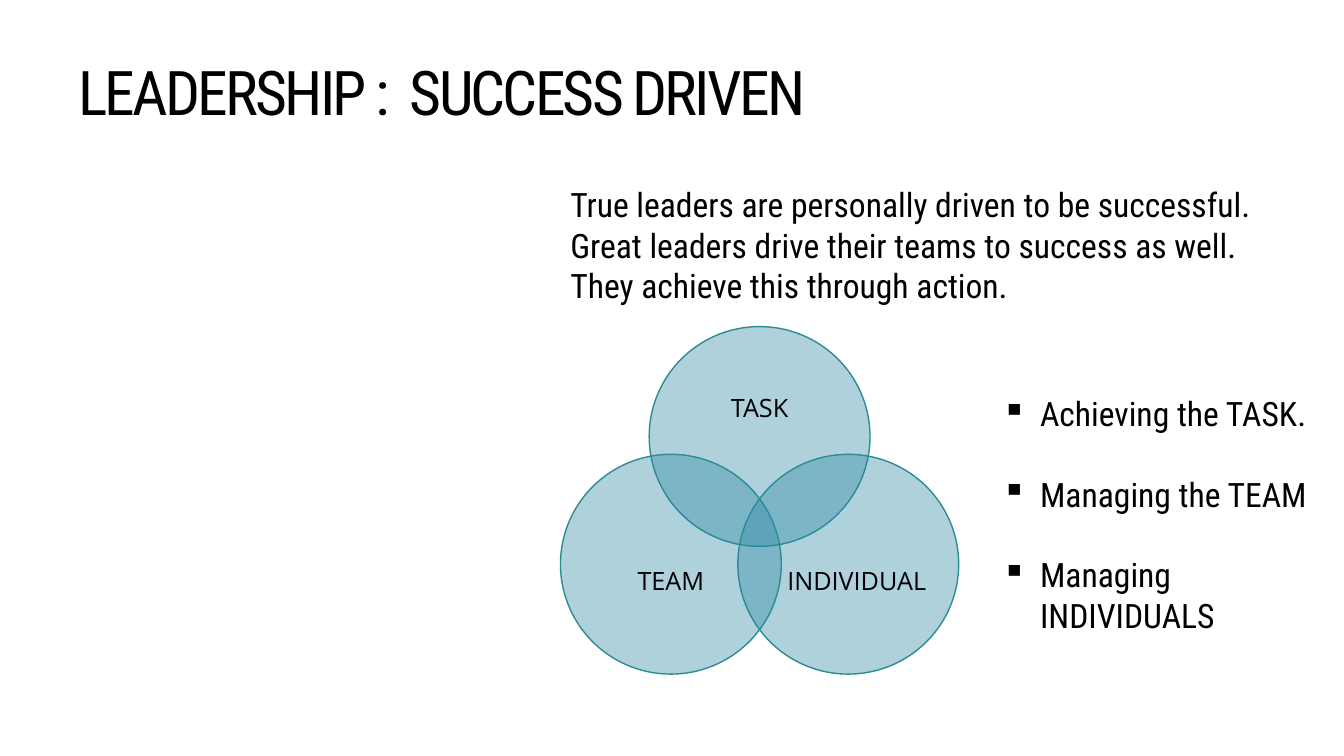
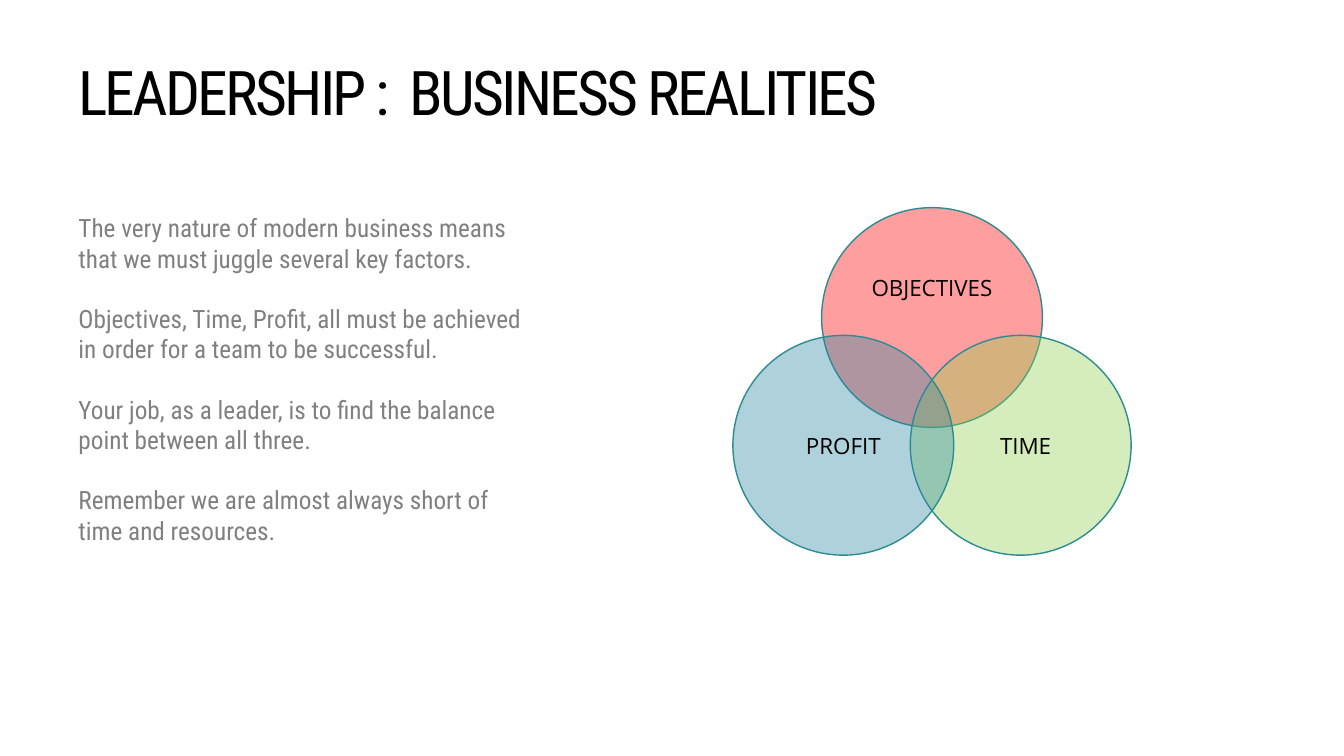
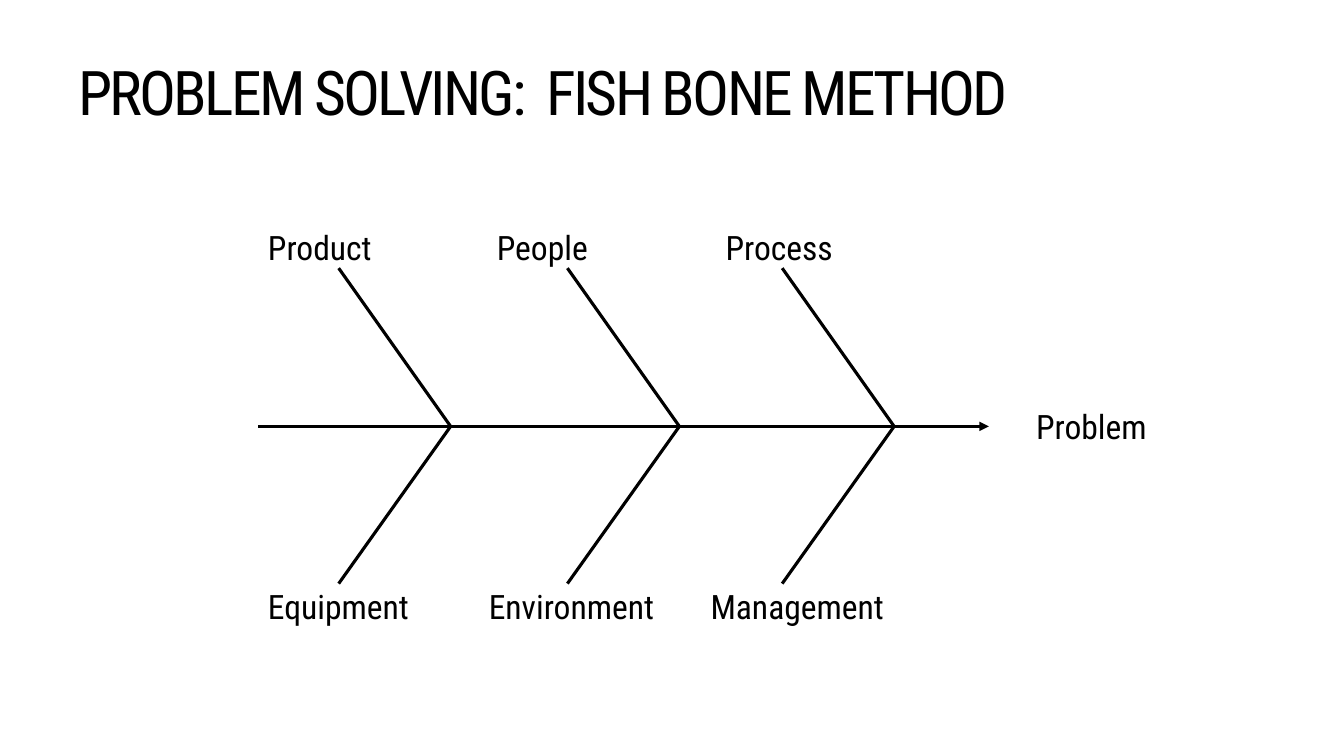
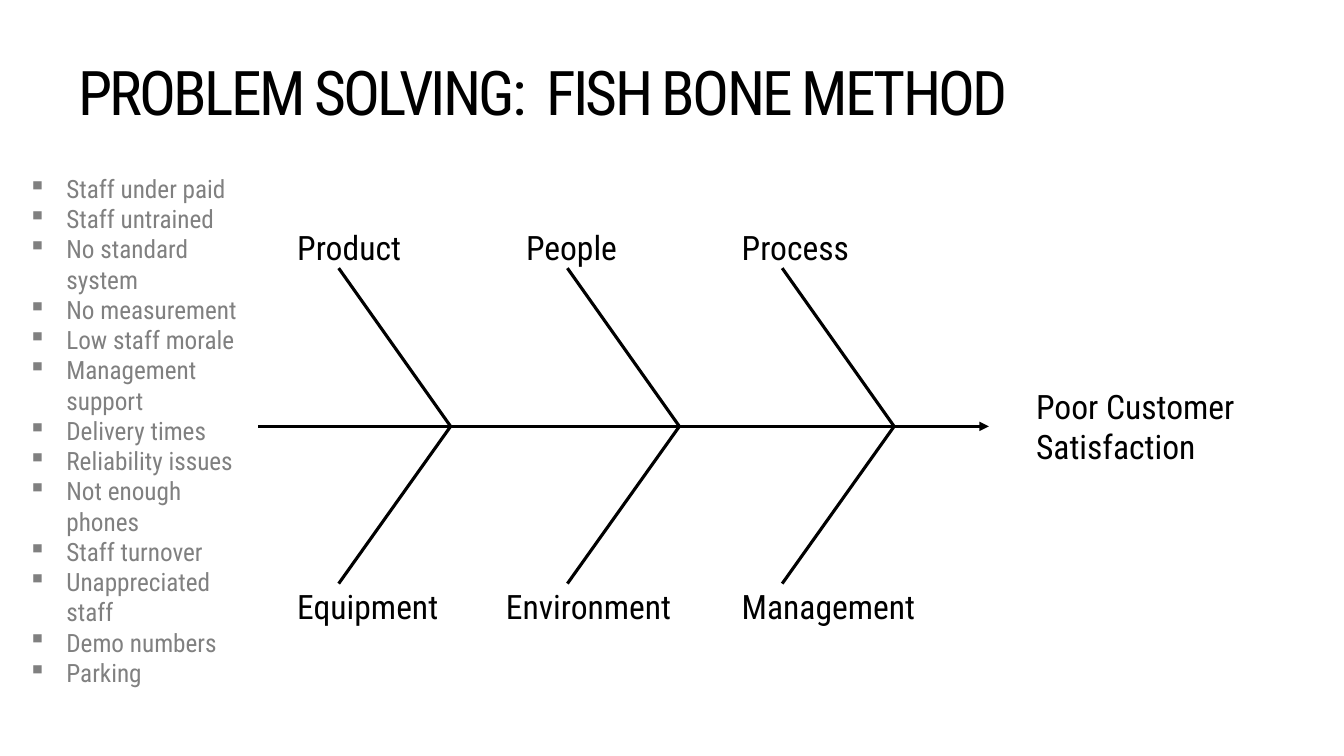
from dataclasses import dataclass

from lxml import etree
from pptx import Presentation
from pptx.dml.color import RGBColor
from pptx.enum.shapes import MSO_CONNECTOR, MSO_SHAPE
from pptx.enum.text import MSO_ANCHOR, PP_ALIGN
from pptx.oxml.ns import qn
from pptx.util import Emu, Inches, Pt

# Shared style
WIDTH, HEIGHT = Inches(13.33), Inches(7.5)
HEADING_FONT, LABEL_FONT = "Roboto Condensed", "Open Sans"
BLACK, GREY = "000000", "808080"
TEAL, TEAL_EDGE, RED, GREEN = "2C88A4", "2C8C91", "FF0000", "92D050"
TOP, MIDDLE = MSO_ANCHOR.TOP, MSO_ANCHOR.MIDDLE
LEFT, CENTER, RIGHT = PP_ALIGN.LEFT, PP_ALIGN.CENTER, PP_ALIGN.RIGHT
CIRCLE = MSO_SHAPE.FLOWCHART_CONNECTOR
STRAIGHT = MSO_CONNECTOR.STRAIGHT
BULLET_INDENT = Inches(0.38)
LINE_HEIGHT = 1.2  # height of a text line as a multiple of its size


# Lengths are percentages of the slide's width and height
def across(share: float) -> Emu:
    return Emu(round(WIDTH * share / 100))


def down(share: float) -> Emu:
    return Emu(round(HEIGHT * share / 100))


@dataclass(frozen=True)
class Box:
    left: float
    top: float
    width: float
    height: float

    def place(self) -> tuple[Emu, Emu, Emu, Emu]:
        return across(self.left), down(self.top), across(self.width), down(self.height)


@dataclass(frozen=True)
class Factor:
    """One circle of a Venn diagram; drop moves its label down, in inches."""
    label: str
    color: str = TEAL
    drop: float = 0
    align: PP_ALIGN = CENTER
    right_inset: float = 0.1


@dataclass(frozen=True)
class Bone:
    """A pair of ribs meeting the spine, with the label above and below."""
    upper: str
    upper_left: float
    lower: str
    lower_left: float


TITLE_BOX = Box(5.1, 2.93, 86.25, 19.33)

# Venn geometry
CIRCLE_WIDTH, CIRCLE_HEIGHT = 16.43, 29.07
CIRCLE_STEP_X, CIRCLE_STEP_Y = 6.6, 16.9
CIRCLE_SLOTS = ((1, 0), (2, 1), (0, 1))

# Fishbone geometry
SPINE_START, SPINE_END, SPINE_Y = 19.2, 73.58, 56.4
RIB_FEET = (33.53, 50.55, 66.53)
RIB_RUN, RIB_TOP, RIB_BOTTOM = 8.33, 35.47, 77.2
LABEL_HEIGHT, UPPER_LABEL_TOP = 6, 29.73
UPPER_LABEL_WIDTH, LOWER_LABEL_WIDTH = 10, 15.5
EFFECT_BOX = Box(76.35, 53.33, 21.98, LABEL_HEIGHT)


def rgb(color: str) -> RGBColor:
    return RGBColor.from_string(color)


def write_text(frame, *paragraphs: str, size: float = 24, color: str = BLACK,
               font: str = HEADING_FONT, align: PP_ALIGN = LEFT,
               anchor: MSO_ANCHOR = TOP, gap_lines: float = 0,
               bullet: bool = False, line_spacing: float = 1.0,
               tracking: float = 0) -> None:
    frame.word_wrap = True
    frame.vertical_anchor = anchor
    for index, words in enumerate(paragraphs):
        paragraph = frame.add_paragraph() if index else frame.paragraphs[0]
        if bullet:
            properties = paragraph._p.get_or_add_pPr()
            properties.set("marL", str(BULLET_INDENT))
            properties.set("indent", str(-BULLET_INDENT))
            etree.SubElement(properties, qn("a:buChar")).set("char", "▪")
        paragraph.alignment = align
        paragraph.line_spacing = line_spacing
        if index and gap_lines:
            paragraph.space_before = Pt(gap_lines * LINE_HEIGHT * size)
        run = paragraph.add_run()
        run.text = words
        run.font.name, run.font.size = font, Pt(size)
        run.font.color.rgb = rgb(color)
        if tracking:
            run._r.get_or_add_rPr().set("spc", str(round(tracking * 100)))


def add_text(slide, box: Box, *paragraphs: str, **style) -> None:
    write_text(slide.shapes.add_textbox(*box.place()).text_frame, *paragraphs, **style)


def add_slide(deck, title: str):
    slide = deck.slides.add_slide(deck.slide_layouts[6])
    add_text(slide, TITLE_BOX, title, size=44, anchor=MIDDLE, line_spacing=0.9, tracking=-2)
    return slide


def add_line(slide, start: tuple[float, float], end: tuple[float, float],
             arrow: bool = False) -> None:
    line = slide.shapes.add_connector(STRAIGHT, across(start[0]), down(start[1]),
                                      across(end[0]), down(end[1]))
    line.line.color.rgb = rgb(BLACK)
    line.line.width = Pt(2.25)
    if arrow:
        etree.SubElement(line.line._get_or_add_ln(), qn("a:tailEnd")).set("type", "triangle")
    etree.SubElement(line._element.spPr, qn("a:effectLst"))


def add_venn(slide, left: float, top: float, factors: tuple[Factor, ...], size: float) -> None:
    for factor, (column, row) in zip(factors, CIRCLE_SLOTS):
        box = Box(left + column * CIRCLE_STEP_X, top + row * CIRCLE_STEP_Y,
                  CIRCLE_WIDTH, CIRCLE_HEIGHT)
        circle = slide.shapes.add_shape(CIRCLE, *box.place())
        circle.shadow.inherit = False
        circle.fill.solid()
        circle.fill.fore_color.rgb = rgb(factor.color)
        tint = circle._element.spPr.find(qn("a:solidFill")).find(qn("a:srgbClr"))
        etree.SubElement(tint, qn("a:alpha")).set("val", "38000")
        circle.line.color.rgb = rgb(TEAL_EDGE)
        circle.line.width = Pt(1)
        frame = circle.text_frame
        frame.margin_right = Inches(factor.right_inset)
        frame.margin_top = Inches(0.05 + 2 * max(factor.drop, 0))
        frame.margin_bottom = Inches(0.05 + 2 * max(-factor.drop, 0))
        write_text(frame, factor.label, size=size, font=LABEL_FONT,
                   align=factor.align, anchor=MIDDLE)


def add_fishbone(slide, effect: str, bones: tuple[Bone, ...]) -> None:
    add_line(slide, (SPINE_START, SPINE_Y), (SPINE_END, SPINE_Y), arrow=True)
    add_text(slide, EFFECT_BOX, effect, anchor=MIDDLE)
    for foot, bone in zip(RIB_FEET, bones):
        for tip in (RIB_TOP, RIB_BOTTOM):
            add_line(slide, (foot - RIB_RUN, tip), (foot, SPINE_Y))
        upper = Box(bone.upper_left, UPPER_LABEL_TOP, UPPER_LABEL_WIDTH, LABEL_HEIGHT)
        lower = Box(bone.lower_left, RIB_BOTTOM, LOWER_LABEL_WIDTH, LABEL_HEIGHT)
        add_text(slide, upper, bone.upper, anchor=MIDDLE)
        add_text(slide, lower, bone.lower, anchor=MIDDLE)


def build_success(deck) -> None:
    slide = add_slide(deck, "LEADERSHIP :  SUCCESS DRIVEN")
    add_text(slide, Box(41.7, 23.73, 55.95, 65.33),
             "True leaders are personally driven to be successful. Great leaders drive "
             "their teams to success as well. They achieve this through action.")
    add_venn(slide, 41.7, 43.2, (
        Factor("TASK", drop=-0.29),
        Factor("INDIVIDUAL", drop=0.16, align=RIGHT, right_inset=0),
        Factor("TEAM", drop=0.16),
    ), size=18)
    add_text(slide, Box(73.8, 51.33, 24.6, 38), "Achieving the TASK.", "Managing the TEAM",
             "Managing INDIVIDUALS", bullet=True, gap_lines=1)


def build_realities(deck) -> None:
    slide = add_slide(deck, "LEADERSHIP :  BUSINESS REALITIES")
    add_text(slide, Box(5.1, 27.47, 35.25, 65.33),
             "The very nature of modern business means that we must juggle several key factors.",
             "Objectives, Time, Profit, all must be achieved in order for a team to be successful.",
             "Your job, as a leader, is to find the balance point between all three.",
             "Remember we are almost always short of time and resources.",
             size=18, color=GREY, gap_lines=1)
    add_venn(slide, 54.53, 27.47, (
        Factor("OBJECTIVES", RED, drop=-0.3),
        Factor("TIME", GREEN, right_inset=0),
        Factor("PROFIT"),
    ), size=16)


def build_fishbone(deck, effect: str, bones: tuple[Bone, ...]):
    slide = add_slide(deck, "PROBLEM SOLVING:  FISH BONE METHOD")
    add_fishbone(slide, effect, bones)
    return slide


def main() -> None:
    deck = Presentation()
    deck.slide_width, deck.slide_height = WIDTH, HEIGHT

    # Leadership
    build_success(deck)
    build_realities(deck)

    # Problem solving: the method, then a worked example
    build_fishbone(deck, "Problem", (
        Bone("Product", 19.2, "Equipment", 19.2),
        Bone("People", 36.23, "Environment", 35.63),
        Bone("Process", 53.25, "Management", 52.13),
    ))
    example = build_fishbone(deck, "Poor Customer Satisfaction", (
        Bone("Product", 21.38, "Equipment", 21.38),
        Bone("People", 38.4, "Environment", 36.9),
        Bone("Process", 54.45, "Management", 54.45),
    ))
    add_text(example, Box(1.35, 22.27, 17.4, 58.8),
             "Staff under paid", "Staff untrained", "No standard system", "No measurement",
             "Low staff morale", "Management support", "Delivery times", "Reliability issues",
             "Not enough phones", "Staff turnover", "Unappreciated staff", "Demo numbers",
             "Parking", size=18, color=GREY, bullet=True)

    deck.save("out.pptx")


if __name__ == "__main__":
    main()
